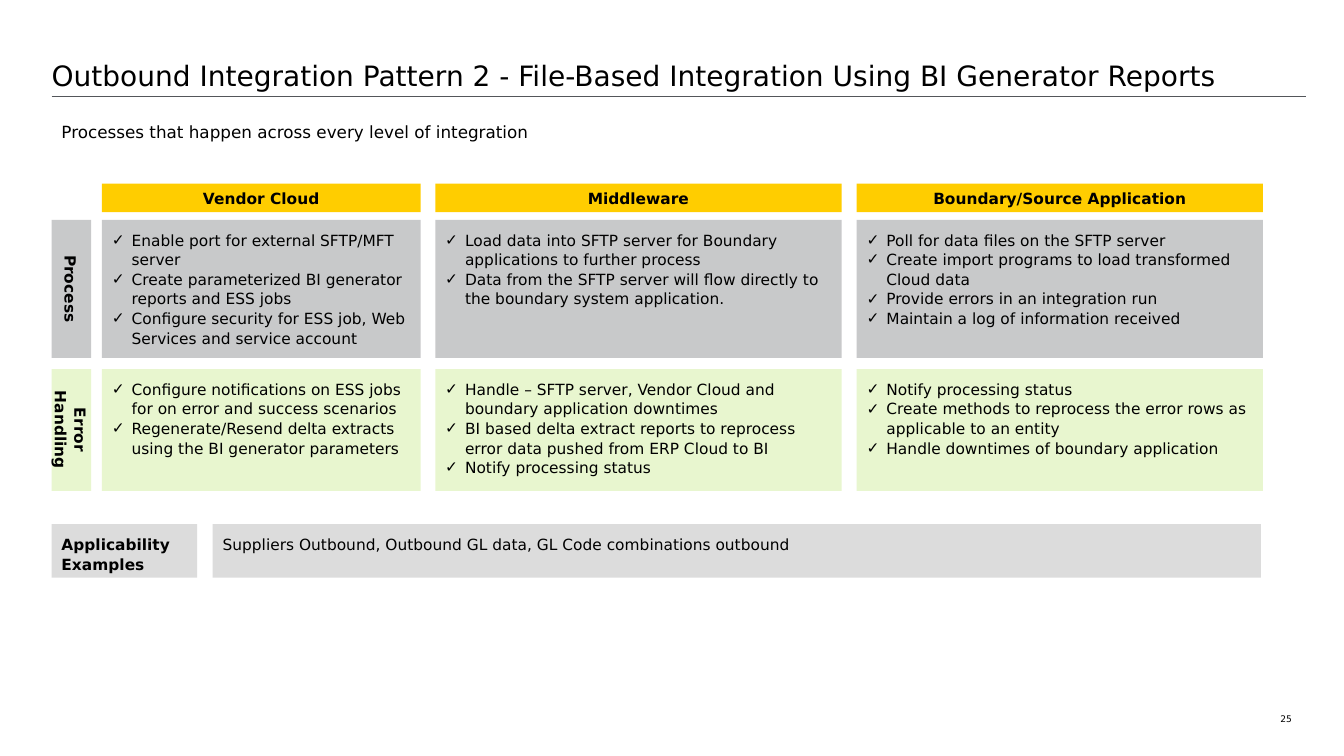
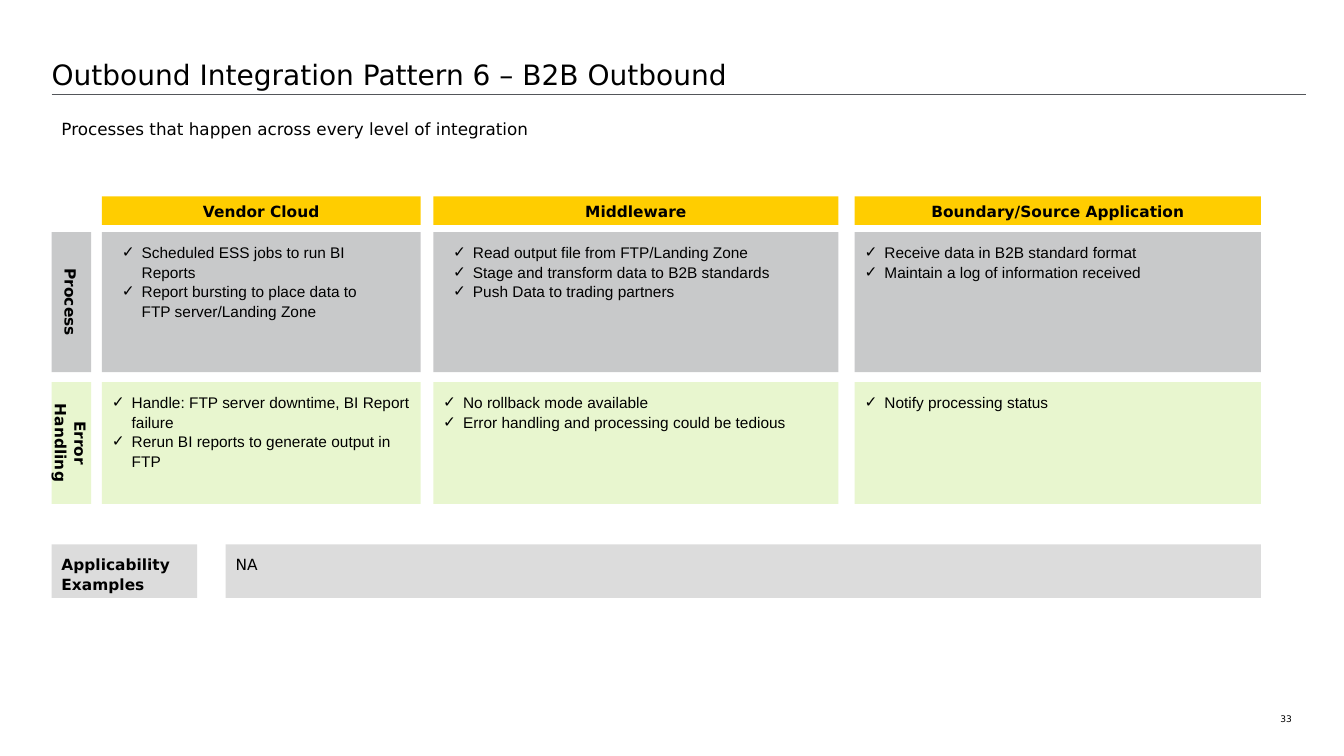
from dataclasses import dataclass

from lxml.etree import SubElement
from pptx import Presentation
from pptx.dml.color import RGBColor
from pptx.enum.shapes import MSO_CONNECTOR, MSO_SHAPE
from pptx.enum.text import MSO_ANCHOR as ANCHOR, PP_ALIGN as ALIGN
from pptx.oxml.ns import qn
from pptx.util import Cm, Pt


@dataclass(frozen=True)
class Theme:
    text: str = "000000"
    rule: str = "53565A"
    header: str = "FFCD00"
    process: str = "C8C9CA"
    errors: str = "E8F6CF"
    examples: str = "DCDCDC"
    font: str = "DejaVu Sans"
    title_pt: float = 20
    subtitle_pt: float = 12
    body_pt: float = 11
    page_pt: float = 6.5
    line_spacing: float = 1.06


THEME = Theme()
SUBTITLE = "Processes that happen across every level of integration"
COLUMNS = ["Vendor Cloud", "Middleware", "Boundary/Source Application"]
ROWS = [("Process", THEME.process), ("Error Handling", THEME.errors)]

# Lengths are in centimetres; columns and rows are (start, size).
SLIDES = [
    {
        "page": "25",
        "title": "Outbound Integration Pattern 2 - File-Based Integration Using BI Generator Reports",
        "font": "DejaVu Sans",
        "cells": [
            [
                ["Enable port for external SFTP/MFT server",
                 "Create parameterized BI generator reports and ESS jobs",
                 "Configure security for ESS job, Web Services and service account"],
                ["Load data into SFTP server for Boundary applications to further process",
                 "Data from the SFTP server will flow directly to the boundary system application."],
                ["Poll for data files on the SFTP server",
                 "Create import programs to load transformed Cloud data",
                 "Provide errors in an integration run",
                 "Maintain a log of information received"],
            ],
            [
                ["Configure notifications on ESS jobs for on error and success scenarios",
                 "Regenerate/Resend delta extracts using the BI generator parameters"],
                ["Handle – SFTP server, Vendor Cloud and boundary application downtimes",
                 "BI based delta extract reports to reprocess error data pushed from ERP Cloud to BI",
                 "Notify processing status"],
                ["Notify processing status",
                 "Create methods to reprocess the error rows as applicable to an entity",
                 "Handle downtimes of boundary application"],
            ],
        ],
        "examples": "Suppliers Outbound, Outbound GL data, GL Code combinations outbound",
        "indented": [],
        "title_y": 1.47, "rule_y": 2.43, "subtitle_y": 2.95, "header_y": 4.63,
        "columns": [(2.57, 8.03), (10.97, 10.24), (21.59, 10.24)],
        "rows": [(5.54, 3.48), (9.3, 3.07)],
        "examples_x": 5.36, "examples_y": 13.21,
    },
    {
        "page": "33",
        "title": "Outbound Integration Pattern 6 – B2B Outbound",
        "font": "Arial",
        "cells": [
            [
                ["Scheduled ESS jobs to run BI Reports",
                 "Report bursting to place data to FTP server/Landing Zone"],
                ["Read output file from FTP/Landing Zone",
                 "Stage and transform data to B2B standards",
                 "Push Data to trading partners"],
                ["Receive data in B2B standard format",
                 "Maintain a log of information received"],
            ],
            [
                ["Handle: FTP server downtime, BI Report failure",
                 "Rerun BI reports to generate output in FTP"],
                ["No rollback mode available",
                 "Error handling and processing could be tedious"],
                ["Notify processing status"],
            ],
        ],
        "examples": "NA",
        "indented": [(0, 0), (0, 1)],
        "title_y": 1.45, "rule_y": 2.38, "subtitle_y": 2.86, "header_y": 4.95,
        "columns": [(2.57, 8.03), (10.92, 10.21), (21.54, 10.24)],
        "rows": [(5.85, 3.53), (9.63, 3.07)],
        "examples_x": 5.69, "examples_y": 13.72,
    },
]

LEFT, RIGHT = 1.3, 31.78
TITLE_W, TITLE_H = 31.27, 1.12
RULE_END = 32.92
HEADER_H, LABEL_W = 0.72, 1.0
EXAMPLES_LABEL_W, EXAMPLES_H = 3.67, 1.35
BULLET_INDENT, EXTRA_INDENT, RIGHT_INDENT = 0.5, 0.25, 0.76
INSET = 0.25


def rgb(color):
    return RGBColor.from_string(color)


def place(sp, x, y, w, h):
    sp.left, sp.top, sp.width, sp.height = Cm(x), Cm(y), Cm(w), Cm(h)


def set_insets(tf, across, down):
    tf.margin_left = tf.margin_right = Cm(across)
    tf.margin_top = tf.margin_bottom = Cm(down)


def style(p, size, font=THEME.font, bold=False, align=ALIGN.LEFT):
    p.alignment = align
    for r in p.runs:
        r.font.name, r.font.size, r.font.bold = font, Pt(size), bold
        r.font.color.rgb = rgb(THEME.text)


def add_check(p, extra):
    """Give the paragraph a hanging check mark; extra narrows it on both sides."""
    pPr = p._p.get_or_add_pPr()
    pPr.set("marL", str(Cm(BULLET_INDENT + (EXTRA_INDENT if extra else 0))))
    pPr.set("indent", str(-Cm(BULLET_INDENT)))
    if extra:
        pPr.set("marR", str(Cm(RIGHT_INDENT)))
    SubElement(pPr, qn("a:buFont")).set("typeface", THEME.font)
    SubElement(pPr, qn("a:buChar")).set("char", "✓")


def add_text(slide, text, x, y, w, h, size, align=ALIGN.LEFT, insets=(INSET, 0.13)):
    tf = slide.shapes.add_textbox(Cm(x), Cm(y), Cm(w), Cm(h)).text_frame
    tf.word_wrap = True
    set_insets(tf, *insets)
    tf.text = text
    style(tf.paragraphs[0], size, align=align)


def add_box(slide, lines, fill, x, y, w, h, font=THEME.font, bold=False,
            centred=False, vertical=False, checks=False, extra=False):
    sp = slide.shapes.add_shape(MSO_SHAPE.RECTANGLE, Cm(x), Cm(y), Cm(w), Cm(h))
    sp.shadow.inherit = False
    sp.fill.solid()
    sp.fill.fore_color.rgb = rgb(fill)
    sp.line.fill.background()
    tf = sp.text_frame
    tf.word_wrap = True
    tf.vertical_anchor = ANCHOR.MIDDLE if centred else ANCHOR.TOP
    set_insets(tf, INSET, INSET)
    if vertical:
        tf._txBody.bodyPr.set("vert", "vert")
    tf.text = "\n".join(lines)
    for p in tf.paragraphs:
        if checks:
            add_check(p, extra)
        p.line_spacing = THEME.line_spacing
        style(p, THEME.body_pt, font, bold, ALIGN.CENTER if centred else ALIGN.LEFT)


def add_frame(slide, s):
    """Add the title, rule, subtitle and page number."""
    title = slide.shapes.title
    place(title, LEFT, s["title_y"], TITLE_W, TITLE_H)
    tf = title.text_frame
    tf.text = s["title"]
    tf.vertical_anchor = ANCHOR.TOP
    set_insets(tf, 0, 0)
    style(tf.paragraphs[0], THEME.title_pt)

    y = Cm(s["rule_y"])
    rule = slide.shapes.add_connector(MSO_CONNECTOR.STRAIGHT, Cm(LEFT), y, Cm(RULE_END), y)
    rule.line.color.rgb = rgb(THEME.rule)
    rule.line.width = Pt(0.75)
    SubElement(rule._element.spPr, qn("a:effectLst"))

    add_text(slide, SUBTITLE, LEFT, s["subtitle_y"], 30.63, 0.76, THEME.subtitle_pt)
    add_text(slide, s["page"], 31.7, 17.98, 0.86, 0.28, THEME.page_pt, ALIGN.RIGHT, (0, 0))


def add_matrix(slide, s):
    for name, (x, w) in zip(COLUMNS, s["columns"]):
        add_box(slide, [name], THEME.header, x, s["header_y"], w, HEADER_H,
                bold=True, centred=True)
    for i, ((label, fill), (y, h)) in enumerate(zip(ROWS, s["rows"])):
        add_box(slide, [label], fill, LEFT, y, LABEL_W, h,
                bold=True, centred=True, vertical=True)
        for j, (x, w) in enumerate(s["columns"]):
            add_box(slide, s["cells"][i][j], fill, x, y, w, h, font=s["font"],
                    checks=True, extra=(i, j) in s["indented"])


def add_examples(slide, s):
    x, y = s["examples_x"], s["examples_y"]
    add_box(slide, ["Applicability Examples"], THEME.examples,
            LEFT, y, EXAMPLES_LABEL_W, EXAMPLES_H, bold=True)
    add_box(slide, [s["examples"]], THEME.examples, x, y, RIGHT - x, EXAMPLES_H)


def main():
    prs = Presentation()
    prs.slide_width, prs.slide_height = Cm(33.87), Cm(19.05)
    title_only = prs.slide_layouts[5]
    for s in SLIDES:
        slide = prs.slides.add_slide(title_only)
        add_frame(slide, s)
        add_matrix(slide, s)
        add_examples(slide, s)
    prs.save("out.pptx")


if __name__ == "__main__":
    main()
